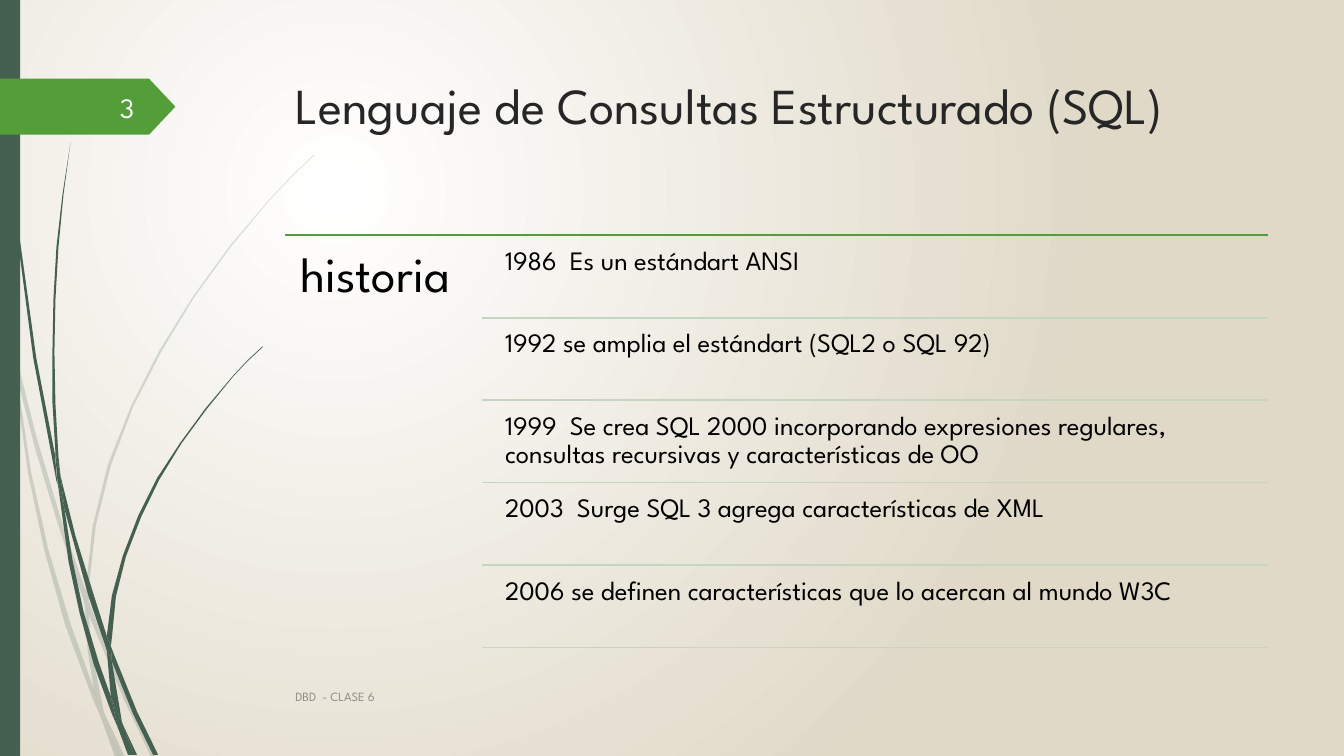
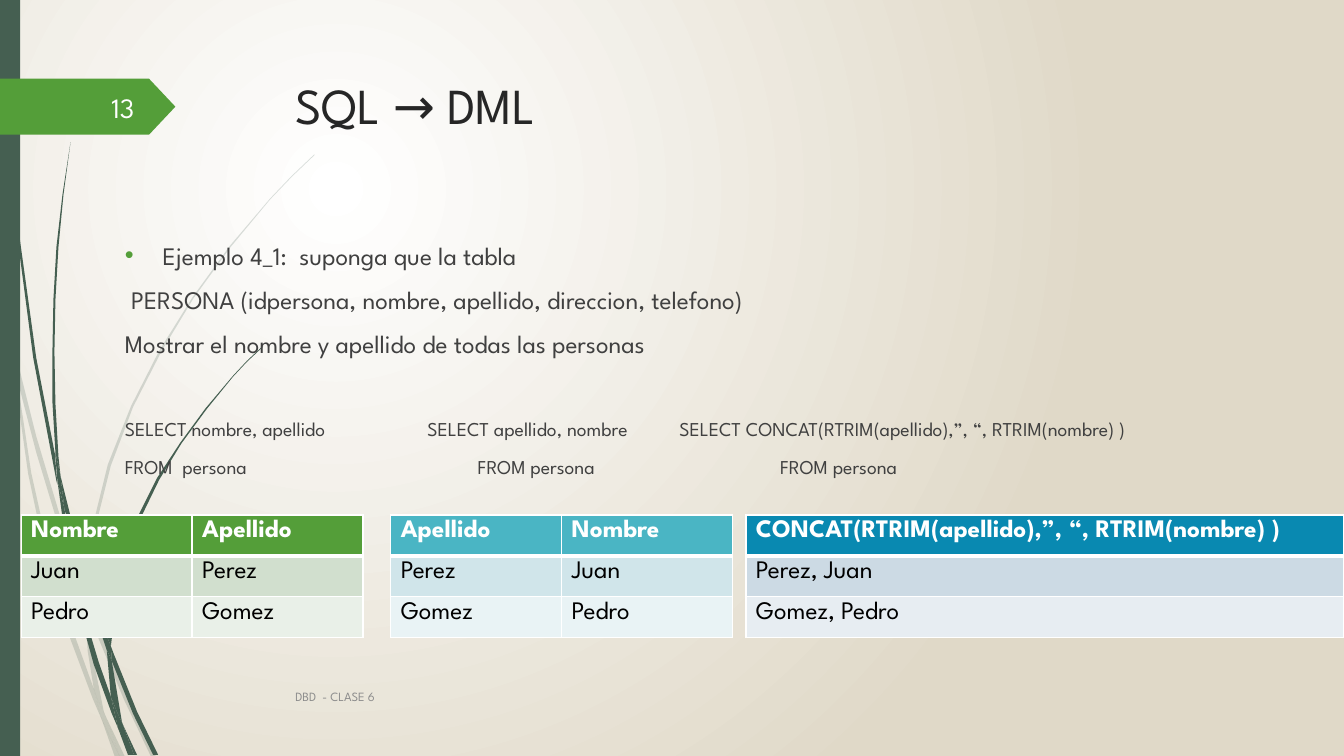
from dataclasses import dataclass

from lxml.etree import SubElement
from pptx import Presentation
from pptx.dml.color import RGBColor
from pptx.enum.shapes import MSO_CONNECTOR, MSO_SHAPE
from pptx.enum.text import MSO_ANCHOR, MSO_AUTO_SIZE, PP_ALIGN
from pptx.oxml import parse_xml
from pptx.oxml.ns import nsdecls, qn
from pptx.util import Pt


@dataclass(frozen=True)
class Theme:
    font: str = "League Spartan"
    white: str = "FFFFFF"
    sand: str = "E0D9C8"
    pine: str = "455F51"
    green: str = "549E39"
    pale: str = "C3D6BF"
    black: str = "000000"
    ink: str = "262626"
    text: str = "404040"
    gray: str = "8C8C8C"
    teal: tuple = ("4AB5C4", "D0E5EA", "E9F3F5")
    leaf: tuple = ("549E39", "D1DFCE", "E9F0E8")
    blue: tuple = ("0989B1", "CCDAE4", "E7EDF2")
    title: float = 36
    lead: float = 35
    page: float = 20
    item: float = 19
    body: float = 18
    code: float = 14
    foot: float = 9


T = Theme()
WIDE, HIGH = 960, 540
UNIT = 72  # points to one unit of the blade outlines

# Outlines of the grass blades: x, y, x, y and so on.
FAINT = [
    (0.11, 3.5, 0.09, 3.22, 0, 2.82, 0, 2.99, 0.1, 3.44),
    (0.58, 5.22, 0.84, 5.99, 0.85, 5.86, 0.62, 5.2, 0.36, 4.33, 0.14, 3.45, 0.17, 3.76,
     0.36, 4.49),
    (0.92, 6.07, 0.88, 5.96, 0.88, 6.1, 1.23, 6.94, 1.5, 7.51, 1.55, 7.51, 1.27, 6.92),
    (1.19, 7.51, 1.24, 7.51, 1.05, 7.11),
    (0.93, 6.83, 0.7, 6.19, 0.48, 5.45, 0.31, 4.69, 0.17, 3.76, 0.11, 3.5, 0.28, 4.7,
     0.44, 5.46, 0.65, 6.21, 0.92, 6.93, 1.01, 7.14, 0.99, 7.07),
    (0.84, 5.99, 0.87, 6.46, 0.93, 6.83, 0.96, 6.92, 1.05, 7.11, 1.03, 7.06, 0.91, 6.46,
     0.88, 6.1, 0.88, 6.08),
    (0.88, 5.84, 0.95, 5.22, 1.1, 4.62, 1.32, 4.04, 1.6, 3.49, 1.92, 2.96, 2.29, 2.45,
     2.68, 1.98, 2.9, 1.75, 3.12, 1.54, 3.12, 1.53, 2.89, 1.75, 2.68, 1.97, 2.28, 2.44,
     1.91, 2.95, 1.58, 3.48, 1.3, 4.03, 1.07, 4.61, 0.92, 5.22, 0.85, 5.84, 0.85, 5.86,
     0.88, 5.96),
    (1.01, 7.14, 1.14, 7.51, 1.19, 7.51),
    (0.88, 6.08, 0.88, 6.1, 0.88, 5.96, 0.85, 5.86, 0.84, 5.99),
    (0.96, 6.92, 0.93, 6.83, 0.99, 7.07, 1.01, 7.14, 1.19, 7.51, 1.05, 7.11),
]
DARK = [
    (0.07, 1.1, 0.17, 2.33, 0.33, 3.55, 0.56, 4.77, 0.57, 4.81, 0.55, 4.57, 0.55, 4.53,
     0.36, 3.55, 0.19, 2.32, 0.08, 1.09, 0.05, 0.48, 0.04, 0, 0.03, 0, 0.04, 0.48),
    (0.88, 5.92, 1.06, 6.45, 1.06, 6.33, 1.06, 6.31, 0.93, 5.9, 0.75, 5.32, 0.6, 4.72,
     0.64, 5.05),
    (1.13, 6.49, 1.1, 6.41, 1.11, 6.56, 1.32, 7.08, 1.52, 7.49, 1.57, 7.49, 1.36, 7.06),
    (1.1, 6.91, 0.98, 6.57, 0.83, 6.07, 0.72, 5.56, 0.64, 5.05, 0.57, 4.77, 0.68, 5.57,
     0.79, 6.08, 0.93, 6.59, 1.11, 7.08, 1.17, 7.22, 1.16, 7.17),
    (0.6, 4.72, 0.58, 4.53, 0.55, 4.01, 0.54, 3.49, 0.55, 2.97, 0.58, 2.45, 0.63, 1.93,
     0.7, 1.41, 0.62, 1.93, 0.56, 2.45, 0.53, 2.97, 0.52, 3.49, 0.52, 3.99, 0.55, 4.49),
    (1.33, 7.49, 1.36, 7.49, 1.22, 7.19),
    (0.57, 4.77, 0.64, 5.05, 0.6, 4.72, 0.55, 4.49, 0.55, 4.53),
    (1.11, 6.33, 1.15, 5.92, 1.25, 5.52, 1.4, 5.13, 1.58, 4.76, 1.8, 4.4, 2.05, 4.06,
     2.31, 3.74, 2.45, 3.59, 2.61, 3.44, 2.6, 3.44, 2.45, 3.58, 2.31, 3.73, 2.04, 4.05,
     1.79, 4.39, 1.56, 4.74, 1.37, 5.12, 1.22, 5.51, 1.11, 5.91, 1.06, 6.31, 1.1, 6.41),
    (1.17, 7.22, 1.27, 7.49, 1.31, 7.49),
    (1.06, 6.45, 1.1, 6.91, 1.16, 7.06, 1.22, 7.19, 1.21, 7.16, 1.11, 6.56, 1.09, 6.51),
    (1.06, 6.45, 1.09, 6.51, 1.11, 6.56, 1.1, 6.41, 1.06, 6.31, 1.06, 6.33),
    (1.16, 7.06, 1.1, 6.91, 1.16, 7.17, 1.17, 7.22, 1.3, 7.49, 1.33, 7.49, 1.22, 7.19),
]


def tint(color):
    return RGBColor.from_string(color)


def place(shape, box):
    shape.left, shape.top, shape.width, shape.height = map(Pt, box)


def style(para, size, color, bold=False):
    for run in para.runs:
        font = run.font
        font.name, font.size, font.bold = T.font, Pt(size), bold
        font.color.rgb = tint(color)


def paint(shape, color, alpha=None):
    shape.shadow.inherit = False
    shape.fill.solid()
    shape.fill.fore_color.rgb = tint(color)
    shape.line.fill.background()
    if alpha is not None:
        mark = shape.element.spPr.find(".//" + qn("a:srgbClr"))
        SubElement(mark, qn("a:alpha"), val=str(alpha * 1000))
    return shape


def label(slide, box, text, size, color, pad=None, mid=False):
    shape = slide.shapes.add_textbox(*map(Pt, box))
    frame = shape.text_frame
    frame.word_wrap = True
    frame.text = text
    if pad is not None:
        frame.margin_left = frame.margin_right = Pt(pad)
        frame.margin_top = frame.margin_bottom = Pt(pad)
    if mid:
        frame.vertical_anchor = MSO_ANCHOR.MIDDLE
    style(frame.paragraphs[0], size, color)
    return shape


def rule(slide, left, right, y, color):
    line = slide.shapes.add_connector(MSO_CONNECTOR.STRAIGHT, Pt(left), Pt(y), Pt(right), Pt(y))
    line.line.color.rgb = tint(color)
    line.line.width = Pt(1.25)
    SubElement(line.element.spPr, qn("a:effectLst"))


def blade(slide, edge, alpha=None):
    sizes = [Pt(UNIT * value) for value in edge]
    first, *rest = zip(sizes[::2], sizes[1::2])
    pen = slide.shapes.build_freeform(*first, scale=1.0)
    pen.add_line_segments(rest, close=True)
    return paint(pen.convert_to_shape(), T.pine, alpha)


def dress(master, slide):
    """Draw the shared parts on a slide and hand them to the master."""
    ground = parse_xml(
        f'<p:bg {nsdecls("p", "a")}><p:bgPr><a:gradFill rotWithShape="1"><a:gsLst>'
        f'<a:gs pos="0"><a:srgbClr val="{T.white}"/></a:gs>'
        f'<a:gs pos="100000"><a:srgbClr val="{T.sand}"/></a:gs></a:gsLst>'
        '<a:path path="circle"><a:fillToRect l="50000" t="50000" r="100000" b="100000"/></a:path>'
        '</a:gradFill><a:effectLst/></p:bgPr></p:bg>')
    base = master.element.cSld
    base.replace(base.find(qn("p:bg")), ground)

    parts = [blade(slide, edge, 20) for edge in FAINT]
    parts += [blade(slide, edge) for edge in DARK]
    add = slide.shapes.add_shape
    parts.append(paint(add(MSO_SHAPE.RECTANGLE, 0, 0, Pt(14.4), Pt(HIGH)), T.pine))
    tag = paint(add(MSO_SHAPE.PENTAGON, 0, Pt(56.2), Pt(125.3), Pt(40)), T.green)
    tag.adjustments[0] = 0.47
    parts.append(tag)
    parts.append(label(slide, (203.8, 483, 600, 28.8), "DBD  - CLASE 6", T.foot, T.gray, mid=True))
    for key, part in enumerate(parts, 20):
        part.element.nvSpPr.cNvPr.id = key
        master.shapes.element.append(part.element)


def head(slide, text, page):
    title = slide.shapes.title
    place(title, (203.9, 49, 702, 100.8))
    frame = title.text_frame
    frame.text = text
    frame.auto_size = MSO_AUTO_SIZE.NONE
    frame.vertical_anchor = MSO_ANCHOR.TOP
    para = frame.paragraphs[0]
    para.alignment = PP_ALIGN.LEFT
    style(para, T.title, T.ink)
    mark = label(slide, (41.8, 62, 61.2, 28.8), page, T.page, T.white, mid=True)
    mark.text_frame.paragraphs[0].alignment = PP_ALIGN.RIGHT


def dates(slide, box, lead, items):
    """A lead word beside ruled rows that share the height of the box."""
    left, top, width, height = box
    right, split = left + width, left + width * 0.2
    pitch = height / len(items)
    gap = pitch * 0.05
    rule(slide, left, right, top, T.green)
    name = label(slide, (left, top, width * 0.2, height), lead, T.lead, T.black, pad=10.8)
    name.text_frame.paragraphs[0].line_spacing = 0.9
    for row, text in enumerate(items):
        y = top + row * pitch
        area = (split + 10.8, y + gap, right - split - 10.8, pitch - gap)
        note = label(slide, area, text, T.item, T.black, pad=5.7)
        note.text_frame.paragraphs[0].line_spacing = 0.9
        rule(slide, split, right, y + pitch, T.pale)


def notes(slide, box, lines):
    """Fill the body with (text, size, space before, bullet)."""
    body = slide.placeholders[1]
    place(body, box)
    frame = body.text_frame
    frame.text = "\n".join(line[0] for line in lines)
    frame.auto_size = MSO_AUTO_SIZE.NONE
    for para, (_, size, space, dot) in zip(frame.paragraphs, lines):
        style(para, size, T.text)
        para.space_before = Pt(space)
        props = para._p.get_or_add_pPr()
        dent = Pt(27) if dot else 0
        props.set("marL", str(dent))
        props.set("indent", str(-dent))
        if dot:
            hue = SubElement(props, qn("a:buClr"))
            SubElement(hue, qn("a:srgbClr"), val=T.green)
            SubElement(props, qn("a:buFont"), typeface="Arial")
            SubElement(props, qn("a:buChar"), char="•")
        else:
            SubElement(props, qn("a:buNone"))


def edge_cell(cell, row):
    """White borders, with a thick one under the header."""
    props = cell._tc.get_or_add_tcPr()
    thick = {"lnB": row == 0, "lnT": row == 1}
    for side in ("lnL", "lnR", "lnT", "lnB"):
        width = Pt(3 if thick.get(side) else 1)
        line = SubElement(props, qn("a:" + side), w=str(width))
        fill = SubElement(line, qn("a:solidFill"))
        SubElement(fill, qn("a:srgbClr"), val=T.white)


def grid(slide, box, rows, fills):
    shape = slide.shapes.add_table(len(rows), len(rows[0]), *map(Pt, box))
    for row, (texts, fill) in enumerate(zip(rows, fills)):
        for col, text in enumerate(texts):
            cell = shape.table.cell(row, col)
            edge_cell(cell, row)
            cell.fill.solid()
            cell.fill.fore_color.rgb = tint(fill)
            cell.text = text
            top = row == 0
            style(cell.text_frame.paragraphs[0], T.body, T.white if top else T.black, top)


def story(slide):
    head(slide, "Lenguaje de Consultas Estructurado (SQL)", "3")
    dates(slide, (203.8, 168, 702.2, 294.5), "historia", [
        "1986  Es un estándart ANSI",
        "1992 se amplia el estándart (SQL2 o SQL 92)",
        "1999  Se crea SQL 2000 incorporando expresiones regulares, "
        "consultas recursivas y características de OO",
        "2003  Surge SQL 3 agrega características de XML",
        "2006 se definen características que lo acercan al mundo W3C",
    ])


def query(slide):
    head(slide, "SQL → DML", "13")
    join = "CONCAT(RTRIM(apellido),”, “, RTRIM(nombre) )"
    notes(slide, (82, 167.8, 870, 297.4), [
        ("Ejemplo 4_1:  suponga que la tabla", T.body, 10, True),
        (" PERSONA (idpersona, nombre, apellido, direccion, telefono)", T.body, 10, False),
        ("Mostrar el nombre y apellido de todas las personas", T.body, 10, False),
        (f"SELECT nombre, apellido\t\t\tSELECT apellido, nombre\t\tSELECT {join}",
         T.code, 41.4, False),
        ("FROM  persona\t\t\t\t\tFROM persona\t\t\t\tFROM persona", T.code, 10.2, False),
    ])
    people = [("Juan", "Perez"), ("Pedro", "Gomez")]
    flip = [(last, first) for first, last in people]
    tables = [
        (15.1, 244.2, [("Nombre", "Apellido"), *people], T.leaf),
        (279.1, 244.2, [("Apellido", "Nombre"), *flip], T.teal),
        (532.8, WIDE - 532.8, [(join,), *((", ".join(pair),) for pair in flip)], T.blue),
    ]
    for left, width, rows, fills in tables:
        grid(slide, (left, 367.8, width, 87.6), rows, fills)


def main():
    deck = Presentation()
    deck.slide_width, deck.slide_height = Pt(WIDE), Pt(HIGH)
    first = deck.slides.add_slide(deck.slide_layouts[5])
    dress(deck.slide_master, first)
    story(first)
    query(deck.slides.add_slide(deck.slide_layouts[1]))
    deck.save("out.pptx")


if __name__ == "__main__":
    main()
